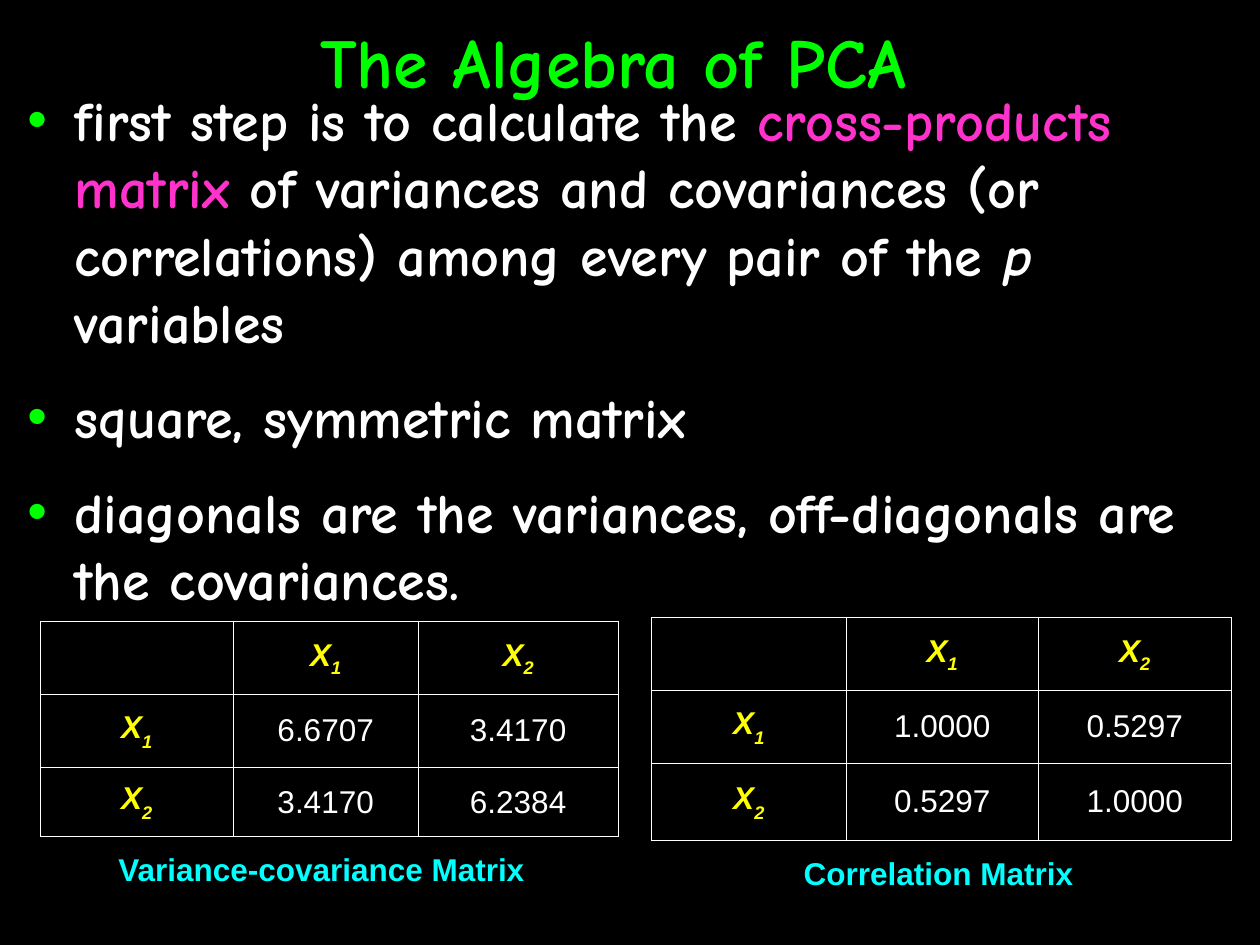
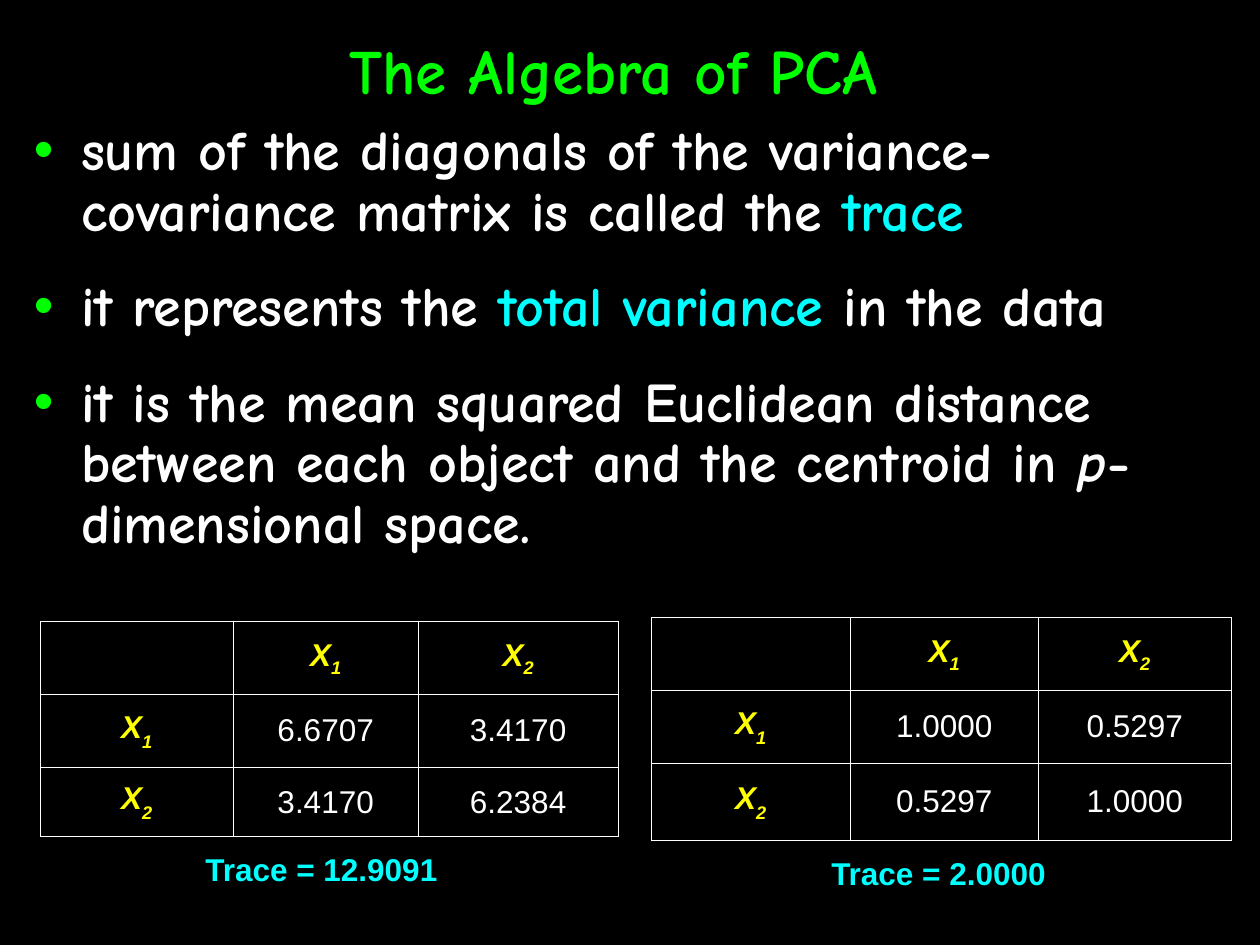
from lxml.etree import SubElement
from pptx import Presentation
from pptx.dml.color import RGBColor
from pptx.enum.text import MSO_ANCHOR as Anchor, MSO_AUTO_SIZE as AutoSize, PP_ALIGN as Align
from pptx.oxml.ns import qn
from pptx.util import Cm, Pt

# Shared style
BLACK, WHITE, GREEN = "000000", "FFFFFF", "00FF00"
PINK, CYAN, YELLOW = "FF33CC", "00FFFF", "FFFF00"
HEADING_FONT, TABLE_FONT = "Comic Neue", "Arial"
TITLE = "The Algebra of PCA"
INDENT = Cm(0.95)

# Matrices: place, row heights and values (cm)
COVARIANCE = {
    "left": 0.81, "top": 12.52, "rows": (1.48, 1.47, 1.4),
    "values": (("6.6707", "3.4170"), ("3.4170", "6.2384")),
}
CORRELATION = {
    "left": 13.13, "top": 12.45, "rows": (1.47, 1.47, 1.55),
    "values": (("1.0000", "0.5297"), ("0.5297", "1.0000")),
}
CAPTION_GAP, CAPTION_HEIGHT = 0.15, 1.02
COVARIANCE_COLUMNS = (3.89, 3.73, 4.03)

# Slides: each bullet is (space before, runs); a run is (text, colour, italic)
# Each matrix is (matrix, column widths, caption, caption centre, caption width)
SLIDES = [
    {
        "title_size": 40, "title_height": 2.64,
        "body_box": (0.3, 1.6, 24.97, 16.31), "line_spacing": 1.0,
        "bullets": [
            (20, [("first step is to calculate the ", WHITE, False),
                  ("cross-products matrix", PINK, False),
                  (" of variances and covariances (or correlations) among every pair of the ",
                   WHITE, False),
                  ("p", WHITE, True),
                  (" variables", WHITE, False)]),
            (16, [("square, symmetric matrix", WHITE, False)]),
            (16, [("diagonals are the variances, off-diagonals are the covariances.",
                   WHITE, False)]),
        ],
        "matrices": [
            (COVARIANCE, COVARIANCE_COLUMNS, "Variance-covariance Matrix", 6.48, 8.74),
            (CORRELATION, (3.93, 3.87, 3.89), "Correlation Matrix", 18.92, 5.94),
        ],
    },
    {
        "title_size": 36, "title_height": 3.0,
        "body_box": (0.43, 2.34, 24.97, 10.59), "line_spacing": 0.9,
        "bullets": [
            (20, [("sum of the diagonals of the variance-covariance matrix is called the ",
                   WHITE, False),
                  ("trace", CYAN, False)]),
            (20, [("it represents the ", WHITE, False),
                  ("total variance", CYAN, False),
                  (" in the data", WHITE, False)]),
            (20, [("it is the mean squared Euclidean distance between each object "
                   "and the centroid in ", WHITE, False),
                  ("p", WHITE, True),
                  ("-dimensional space.", WHITE, False)]),
        ],
        "matrices": [
            (COVARIANCE, COVARIANCE_COLUMNS, "Trace = 12.9091", 6.48, 5.21),
            (CORRELATION, (4.01, 3.79, 3.89), "Trace = 2.0000", 18.92, 4.85),
        ],
    },
]


def color(value):
    return RGBColor.from_string(value)


def place(shape, left, top, width, height):
    shape.left, shape.top = Cm(left), Cm(top)
    shape.width, shape.height = Cm(width), Cm(height)


def add_run(paragraph, text, font, size, value, bold=True, italic=False, baseline=0):
    run = paragraph.add_run()
    run.text = text
    run.font.name, run.font.size = font, Pt(size)
    run.font.bold, run.font.italic = bold, italic
    run.font.color.rgb = color(value)
    if baseline:
        run._r.get_or_add_rPr().set("baseline", str(baseline * 1000))


def add_bullet(paragraph):
    properties = paragraph._p.get_or_add_pPr()
    properties.set("marL", str(INDENT))
    properties.set("indent", str(-INDENT))
    bullet_color = SubElement(properties, qn("a:buClr"))
    SubElement(bullet_color, qn("a:srgbClr")).set("val", GREEN)
    SubElement(properties, qn("a:buChar")).set("char", "•")


def add_title(slide, size, height):
    title = slide.shapes.title
    place(title, -0.1, -0.1, 24.92, height)
    title.text_frame.auto_size = AutoSize.NONE
    title.text_frame.vertical_anchor = Anchor.MIDDLE
    paragraph = title.text_frame.paragraphs[0]
    paragraph.alignment = Align.CENTER
    add_run(paragraph, TITLE, HEADING_FONT, size, GREEN)


def add_body(slide, box, bullets, line_spacing):
    body = slide.placeholders[1]
    place(body, *box)
    frame = body.text_frame
    frame.auto_size = AutoSize.NONE
    for index, (space_before, runs) in enumerate(bullets):
        paragraph = frame.add_paragraph() if index else frame.paragraphs[0]
        paragraph.line_spacing = line_spacing
        paragraph.space_before = Pt(space_before)
        add_bullet(paragraph)
        for text, value, italic in runs:
            add_run(paragraph, text, HEADING_FONT, 32, value, italic=italic)


def style_cell(cell):
    properties = cell._tc.get_or_add_tcPr()
    for side in ("lnL", "lnR", "lnT", "lnB"):
        border = SubElement(properties, qn(f"a:{side}"))
        border.set("w", str(Pt(0.45)))
        fill = SubElement(border, qn("a:solidFill"))
        SubElement(fill, qn("a:srgbClr")).set("val", WHITE)
    cell.fill.background()
    cell.vertical_anchor = Anchor.MIDDLE


def add_matrix(slide, matrix, columns):
    rows = matrix["rows"]
    table = slide.shapes.add_table(
        len(rows), len(columns), Cm(matrix["left"]), Cm(matrix["top"]),
        Cm(sum(columns)), Cm(sum(rows))).table
    table.first_row = table.horz_banding = False
    for column, width in zip(table.columns, columns):
        column.width = Cm(width)
    for row, height in zip(table.rows, rows):
        row.height = Cm(height)
    for i in range(len(rows)):
        for j in range(len(columns)):
            cell = table.cell(i, j)
            style_cell(cell)
            paragraph = cell.text_frame.paragraphs[0]
            paragraph.alignment = Align.CENTER
            if i and j:
                add_run(paragraph, matrix["values"][i - 1][j - 1], TABLE_FONT, 18, WHITE,
                        bold=False)
            elif i or j:
                # Variable name with its subscript
                add_run(paragraph, "X", TABLE_FONT, 18, YELLOW, italic=True)
                add_run(paragraph, str(i + j), TABLE_FONT, 18, YELLOW, italic=True,
                        baseline=-30 if i else -25)


def add_caption(slide, text, center, top, width):
    caption = slide.shapes.add_textbox(
        Cm(center - width / 2), Cm(top), Cm(width), Cm(CAPTION_HEIGHT))
    caption.text_frame.word_wrap = False
    caption.text_frame.auto_size = AutoSize.SHAPE_TO_FIT_TEXT
    paragraph = caption.text_frame.paragraphs[0]
    paragraph.alignment = Align.CENTER
    add_run(paragraph, text, TABLE_FONT, 18, CYAN)


def main():
    presentation = Presentation()
    presentation.slide_width, presentation.slide_height = Cm(25.4), Cm(19.05)
    background = presentation.slide_master.background.fill
    background.solid()
    background.fore_color.rgb = color(BLACK)

    for content in SLIDES:
        slide = presentation.slides.add_slide(presentation.slide_layouts[1])
        add_title(slide, content["title_size"], content["title_height"])
        add_body(slide, content["body_box"], content["bullets"], content["line_spacing"])
        for matrix, columns, caption, center, width in content["matrices"]:
            add_matrix(slide, matrix, columns)
            bottom = matrix["top"] + sum(matrix["rows"])
            add_caption(slide, caption, center, bottom + CAPTION_GAP, width)

    presentation.save("out.pptx")


if __name__ == "__main__":
    main()
